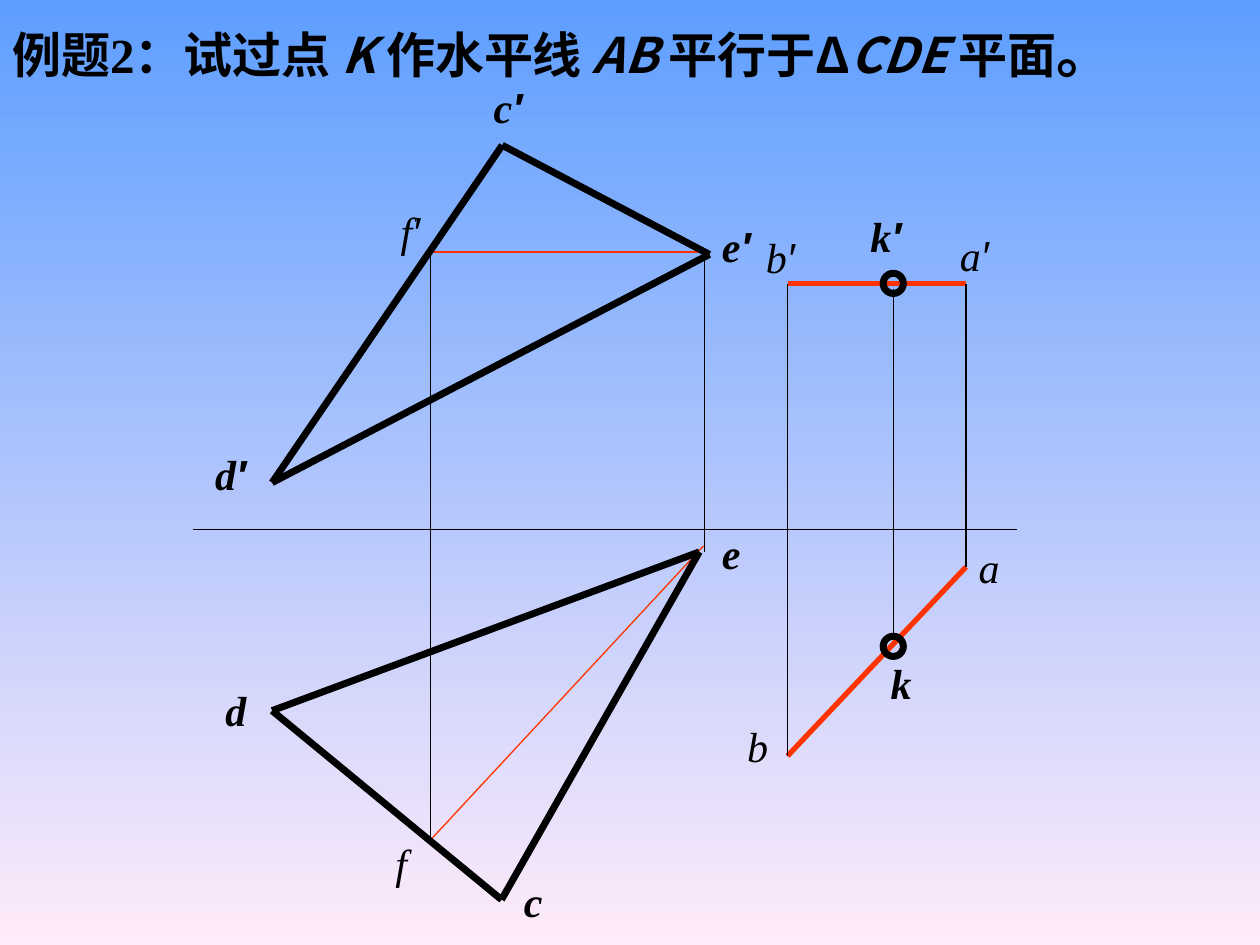
"""Build the descriptive-geometry example slide: a level line AB through K parallel to triangle CDE."""
from lxml.etree import SubElement
from pptx import Presentation
from pptx.dml.color import RGBColor
from pptx.enum.shapes import MSO_CONNECTOR as LINE, MSO_SHAPE as SHAPE
from pptx.enum.text import MSO_AUTO_SIZE as FIT
from pptx.oxml.ns import qn
from pptx.util import Pt

BLACK = RGBColor(0x00, 0x00, 0x00)
RED = RGBColor(0xFF, 0x33, 0x00)
SKY = RGBColor(0x5E, 0x9E, 0xFF)
PINK = RGBColor(0xFF, 0xEB, 0xFA)
SERIF, SANS, CHINESE = "Times New Roman", "Arial", "Noto Sans CJK SC"

deck = Presentation()
deck.slide_width, deck.slide_height = Pt(720), Pt(540)
page = deck.slides.add_slide(deck.slide_layouts[6])

backdrop = page.background.fill
backdrop.gradient()
backdrop.gradient_angle = 270
for stop, position, color in zip(backdrop.gradient_stops, (0, 1), (SKY, PINK)):
    stop.position = position
    stop.color.rgb = color


def add_text(left, top, width, height, spans, fit=FIT.NONE):
    box = page.shapes.add_textbox(Pt(left), Pt(top), Pt(width), Pt(height))
    box.text_frame.word_wrap = True
    box.text_frame.auto_size = fit
    para = box.text_frame.paragraphs[0]
    for text, look in spans:
        span = para.add_run()
        span.text = text
        span.font.color.rgb = BLACK
        for key, value in look.items():
            setattr(span.font, key, value)
        SubElement(span.font._element, qn("a:ea"), typeface=look["name"])


def add_line(start, end, color, width):
    line = page.shapes.add_connector(LINE.STRAIGHT, *map(Pt, start + end))
    line.line.color.rgb = color
    line.line.width = Pt(width)
    SubElement(line._element.spPr, qn("a:effectLst"))


heading = {"name": CHINESE, "size": Pt(28), "bold": True, "italic": False}
slanted = {**heading, "italic": True}
add_text(0, 6.5, 720, 54, [
    ("例题", heading),
    ("2", {**heading, "name": SERIF}),
    ("：试过点 ", heading),
    ("K ", slanted),
    ("作水平线 ", heading),
    ("AB ", slanted),
    ("平行于Δ", heading),
    ("CDE ", slanted),
    ("平面", heading),
    ("。", {**heading, "name": SANS, "size": Pt(32)}),
])

a_front, b_front = (552, 162), (450, 162)
a_top, b_top = (552, 324), (450, 432)
f_front, f_top = (246, 144), (246, 480)
c_front, d_front, e_front = (287, 83), (155.5, 275.8), (405.4, 145.4)
c_top, d_top, e_top = (286.6, 514.1), (155.5, 406.1), (399.6, 315.4)

for start, end, color, width in [
    (b_top, a_top, RED, 3),
    (b_front, a_front, RED, 3),
    (f_top, (402, 312), RED, 0.75),
    (a_top, a_front, BLACK, 1),
    ((402, 144), f_front, RED, 0.75),
    (f_front, f_top, BLACK, 0.75),
    (b_top, b_front, BLACK, 0.75),
    (c_front, d_front, BLACK, 4),
    (c_front, e_front, BLACK, 4),
    (e_front, d_front, BLACK, 4),
    (d_top, e_top, BLACK, 4),
    (e_top, c_top, BLACK, 4),
    (c_top, d_top, BLACK, 4),
    ((402.5, 145.4), (402.5, 315.4), BLACK, 0.75),
    ((110.2, 302.4), (581, 302.4), BLACK, 0.75),
    ((510.5, 165), (510.5, 363.6), BLACK, 0.75),
]:
    add_line(start, end, color, width)

for top in (156.2, 363.6):
    ring = page.shapes.add_shape(SHAPE.OVAL, Pt(504.7), Pt(top), Pt(11.5), Pt(11.5))
    ring.shadow.inherit = False
    ring.fill.background()
    ring.line.color.rgb = BLACK
    ring.line.width = Pt(4)

for label, left, top, width, bold in [
    ("b′", 430.6, 128.9, 54, False),
    ("a′", 541.4, 127.4, 84.2, False),
    ("a", 552.2, 306, 33.8, False),
    ("f′", 221.8, 113.8, 66.2, False),
    ("f", 218.9, 475.2, 33.8, False),
    ("b", 419.8, 408.2, 33.1, False),
    ("c′", 275, 43.2, 56.9, True),
    ("d′", 115.9, 252.7, 56.9, True),
    ("e′", 405.4, 122.4, 56.9, True),
    ("c", 292.3, 496.8, 56.9, True),
    ("d", 121.7, 387.4, 56.9, True),
    ("e", 405.4, 298.1, 56.9, True),
    ("k′", 490.3, 116.6, 56.9, True),
    ("k", 501.8, 372.2, 56.9, True),
]:
    letter = {"name": SERIF, "size": Pt(24), "bold": bold, "italic": True}
    prime = {**letter, "name": SANS}
    spans = [(mark, prime if mark == "′" else letter) for mark in label]
    add_text(left, top, width, 36, spans, FIT.SHAPE_TO_FIT_TEXT)

deck.save("out.pptx")
